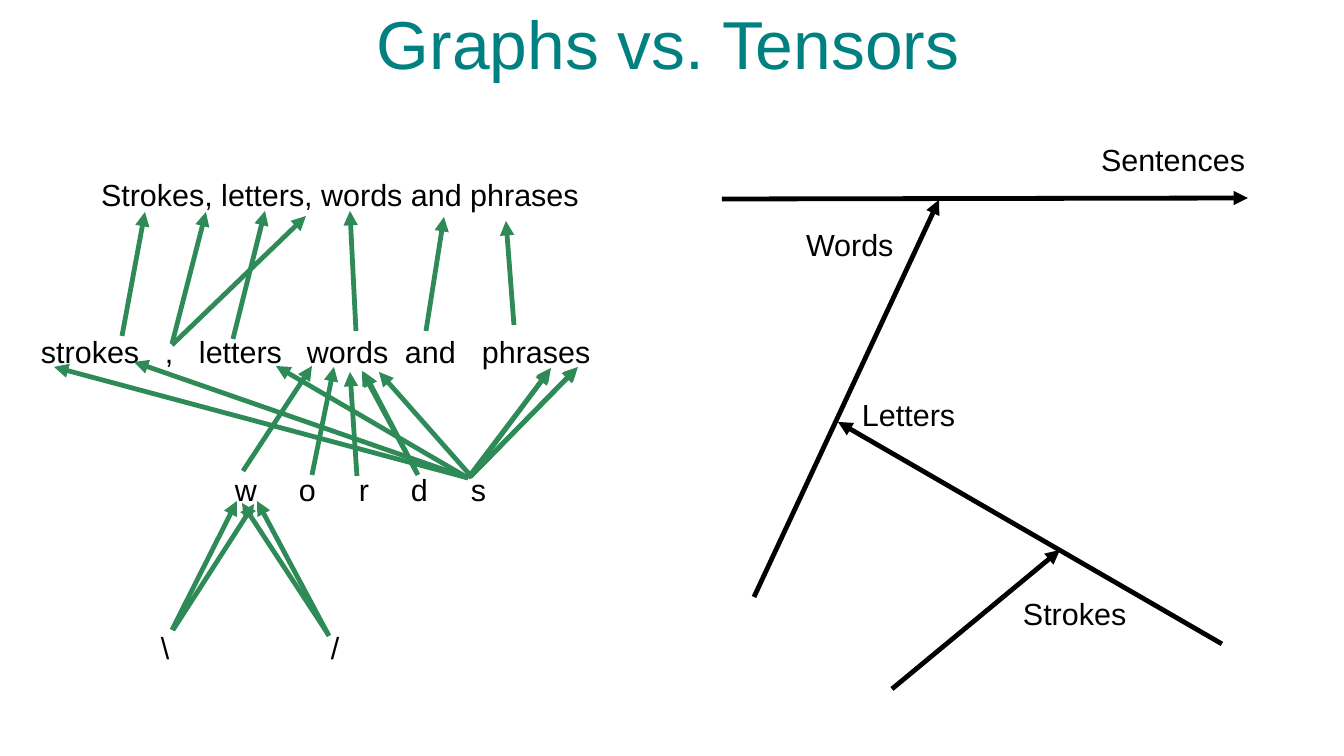
from dataclasses import dataclass

import pptx
import pptx.dml.color
import pptx.enum.shapes
import pptx.enum.text
import pptx.oxml.xmlchemy
import pptx.slide
import pptx.util

PX = 914400 / 122
COLORS = {"title": "008080", "text": "000000", "graph": "2E8B57", "tensor": "000000"}
ALIGN = pptx.enum.text.PP_ALIGN
ANCHOR = pptx.enum.text.MSO_ANCHOR


@dataclass(frozen=True)
class Label:
    text: str
    x: int
    y: int
    w: int
    h: int = 46
    size: int = 18
    color: str = "text"
    align: ALIGN = ALIGN.LEFT
    anchor: ANCHOR = ANCHOR.TOP
    tabs: tuple[int, ...] = ()


@dataclass(frozen=True)
class Arrow:
    x1: int
    y1: int
    x2: int
    y2: int
    color: str = "graph"


LABELS = [
    Label("Graphs vs. Tensors", 4, -2, 1328, 88, 40, "title", ALIGN.CENTER, ANCHOR.MIDDLE),
    Label("Strokes, letters, words and phrases", 89, 170, 514),
    Label("strokes\t,\tletters\twords\tand\tphrases", 29, 327, 586,
          tabs=(124, 158, 266, 364, 441)),
    Label("w\to\tr\td\ts", 223, 465, 280, tabs=(64, 124, 176, 236)),
    Label("\\\t/", 149, 623, 208, tabs=(170,)),
    Label("Sentences", 1089, 135, 174),
    Label("Words", 794, 220, 116),
    Label("Letters", 850, 390, 122),
    Label("Strokes", 1011, 589, 132),
]

ARROWS = [
    Arrow(122, 336, 145, 212),
    Arrow(172, 344, 206, 212),
    Arrow(172, 345, 306, 216),
    Arrow(233, 339, 265, 211),
    Arrow(356, 331, 350, 211),
    Arrow(426, 331, 444, 217),
    Arrow(514, 325, 506, 221),
    Arrow(243, 471, 312, 366),
    Arrow(312, 475, 334, 367),
    Arrow(357, 476, 350, 372),
    Arrow(417, 473, 362, 371),
    Arrow(418, 475, 364, 372),
    Arrow(470, 475, 379, 372),
    Arrow(471, 476, 578, 367),
    Arrow(470, 477, 577, 368),
    Arrow(470, 477, 551, 368),
    Arrow(468, 478, 550, 370),
    Arrow(468, 478, 276, 366),
    Arrow(468, 478, 134, 362),
    Arrow(468, 478, 54, 367),
    Arrow(172, 630, 237, 501),
    Arrow(328, 634, 242, 503),
    Arrow(173, 630, 254, 504),
    Arrow(329, 636, 257, 501),
    Arrow(722, 199, 1248, 198, "tensor"),
    Arrow(754, 597, 939, 200, "tensor"),
    Arrow(1222, 644, 838, 422, "tensor"),
    Arrow(892, 689, 1060, 550, "tensor"),
]


def emu(px: int) -> int:
    return round(px * PX)


def rgb(name: str) -> pptx.dml.color.RGBColor:
    return pptx.dml.color.RGBColor.from_string(COLORS[name])


def add_label(s: pptx.slide.Slide, label: Label) -> None:
    sp = s.shapes.add_textbox(*map(emu, (label.x, label.y, label.w, label.h)))
    tf = sp.text_frame
    for name, value in {"word_wrap": True, "vertical_anchor": label.anchor}.items():
        setattr(tf, name, value)
    p = tf.paragraphs[0]
    p.alignment = label.align
    if label.tabs:
        stops = pptx.oxml.xmlchemy.OxmlElement("a:tabLst")
        for pos in label.tabs:
            stop = pptx.oxml.xmlchemy.OxmlElement("a:tab")
            stop.set("pos", str(emu(pos)))
            stop.set("algn", "l")
            stops.append(stop)
        p._p.get_or_add_pPr().append(stops)
    r = p.add_run()
    r.text = label.text
    for name, value in {"name": "Arial", "size": pptx.util.Pt(label.size)}.items():
        setattr(r.font, name, value)
    r.font.color.rgb = rgb(label.color)


def add_arrow(s: pptx.slide.Slide, arrow: Arrow) -> None:
    sp = s.shapes.add_connector(
        pptx.enum.shapes.MSO_CONNECTOR.STRAIGHT,
        *map(emu, (arrow.x1, arrow.y1, arrow.x2, arrow.y2)),
    )
    sp.line.width = pptx.util.Pt(2.83)
    sp.line.color.rgb = rgb(arrow.color)
    head = pptx.oxml.xmlchemy.OxmlElement("a:tailEnd")
    head.set("type", "triangle")
    sp.line._get_or_add_ln().append(head)
    sp._element.spPr.append(pptx.oxml.xmlchemy.OxmlElement("a:effectLst"))


def main() -> None:
    prs = pptx.Presentation()
    prs.slide_width, prs.slide_height = emu(1344), emu(756)
    s = prs.slides.add_slide(prs.slide_layouts[6])
    for label in LABELS:
        add_label(s, label)
    for arrow in ARROWS:
        add_arrow(s, arrow)
    prs.save("out.pptx")


if __name__ == "__main__":
    main()
